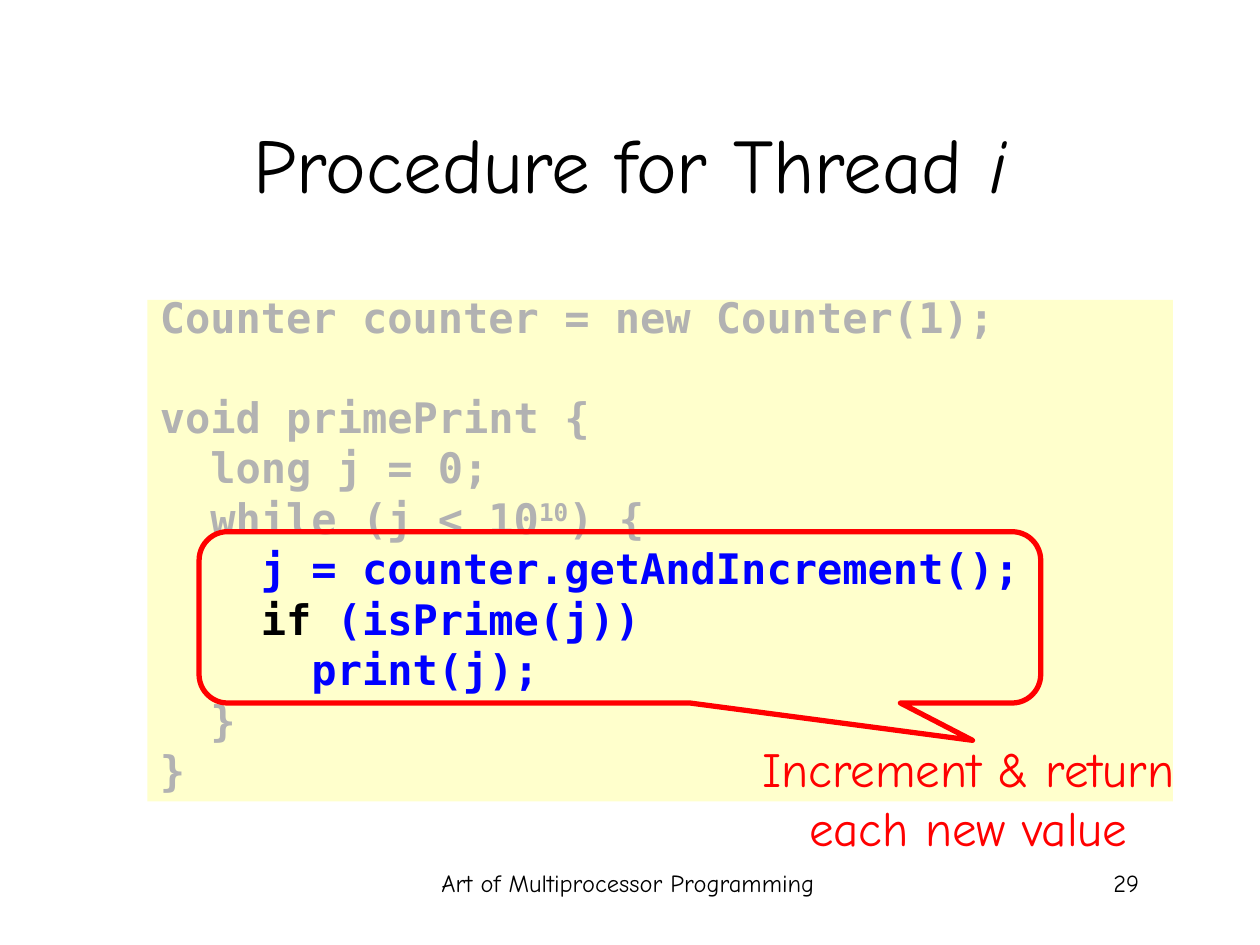
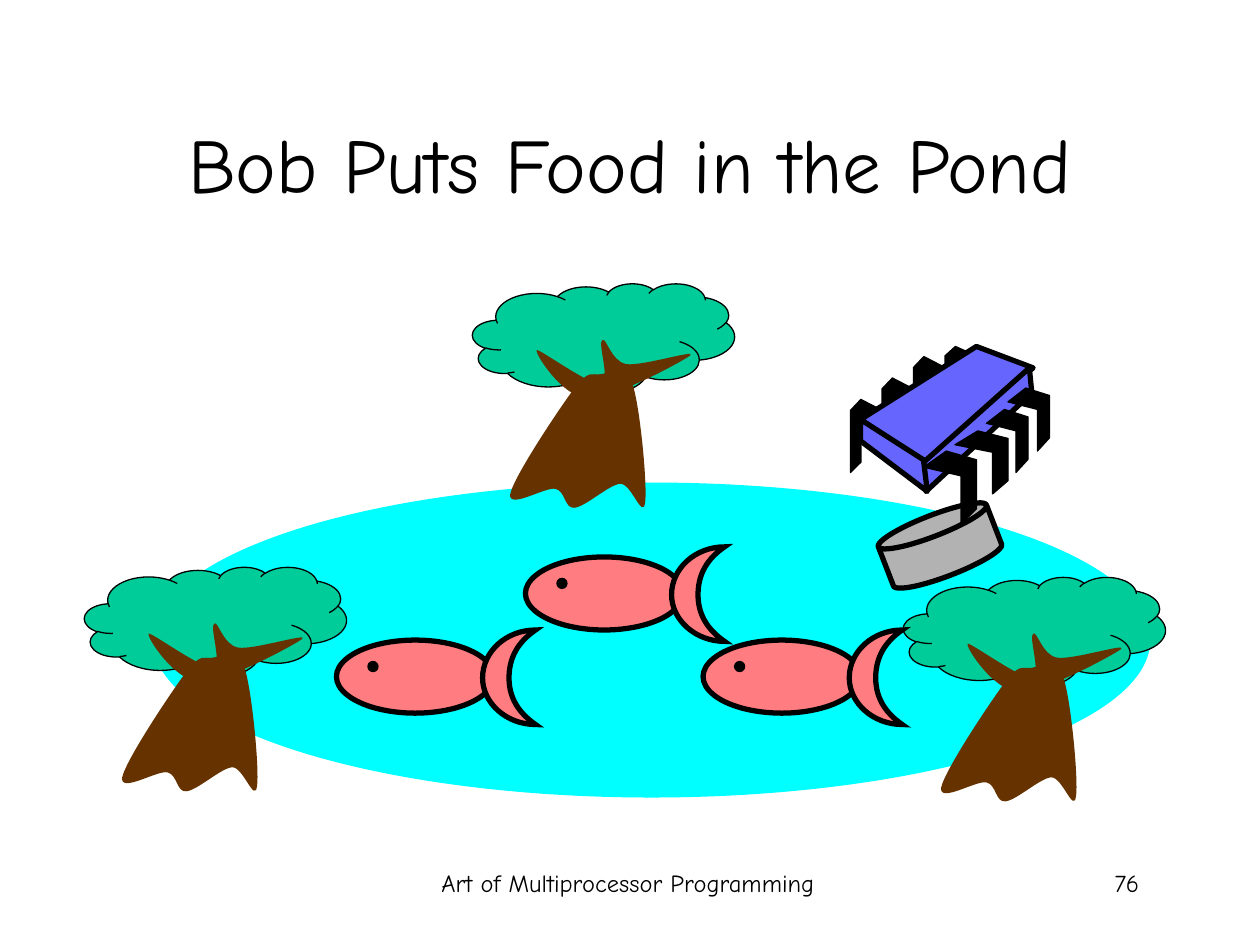
from lxml.etree import SubElement
from pptx import Presentation
from pptx.dml.color import RGBColor
from pptx.enum.shapes import MSO_SHAPE
from pptx.enum.text import MSO_ANCHOR, MSO_AUTO_SIZE, PP_ALIGN
from pptx.oxml.ns import qn
from pptx.util import Inches, Pt

COLORS = {
    "black": "000000", "gray": "B2B2B2", "blue": "0000FF", "red": "FF0000",
    "paper": "FFFFCC", "water": "00FFFF", "leaves": "00CC99", "wood": "663300",
    "fish": "FF7C80", "chip": "6666FF",
}
TEXT_FONT = "Comic Neue"
CODE_FONT = "DejaVu Sans Mono"
CODE_SIZE, CODE_SPACING, CODE_GAP = 24, 0.7, 8.7
BLANK_LINE = CODE_GAP + CODE_SPACING * 28
THICK, THIN = 3, 0.75

CODE = [
    [("Counter counter = new Counter(1);", "gray")],
    [("void primePrint {", "gray")],
    [("  long j = 0;", "gray")],
    [("  while (j < 10", "gray"), ("10", "gray", "super"), (") {", "gray")],
    [("    j = counter.getAndIncrement();", "blue")],
    [("    ", "gray"), ("if", "black"), (" (isPrime(j))", "blue")],
    [("      print(j);", "blue")],
    [("  }", "gray")],
    [("}", "gray")],
]
LINE_AFTER_BLANK = 1

TRUNK = [
    (0.81, 0.83), (0.93, 0.68), (0.94, 0.73), (1.02, 0.72), (1.09, 0.71), (1.21, 0.63),
    (1.27, 0.8), (1.33, 0.97), (1.39, 1.61), (1.37, 1.74), (1.35, 1.88), (1.26, 1.58),
    (1.17, 1.59), (1.08, 1.6), (0.9, 1.77), (0.81, 1.78), (0.73, 1.79), (0.74, 1.65),
    (0.66, 1.63), (0.58, 1.61), (0.28, 1.8), (0.3, 1.67), (0.33, 1.53), (0.69, 0.99),
    (0.81, 0.83),
]
BRANCHES = [
    (0.51, 0.53), (0.49, 0.55), (0.71, 0.9), (0.91, 0.91), (1.12, 0.92), (1.68, 0.61),
    (1.73, 0.57), (1.78, 0.52), (1.34, 0.66), (1.22, 0.64), (1.1, 0.62), (1.06, 0.42),
    (1.03, 0.45), (0.99, 0.47), (1.1, 0.78), (1.02, 0.8), (0.93, 0.81), (0.52, 0.51),
    (0.51, 0.53),
]
TAIL = [
    (1.58, -0.08), (1.48, -0.01), (1.37, 0.1), (1.37, 0.3), (1.37, 0.49), (1.48, 0.6),
    (1.58, 0.67), (1.35, 0.67), (1.16, 0.5), (1.16, 0.3), (1.16, 0.09), (1.35, -0.08),
    (1.58, -0.08),
]
BACK_PIN = [(1, 0.15), (0.33, 0), (0, 0.15), (0, 1), (0.33, 0.86), (0.33, 0.29), (1, 0.43)]
FRONT_PIN = [(0.43, 0), (0, 0.22), (0.71, 0.34), (0.71, 1), (1, 0.79), (1, 0.12)]
BACK_PINS = [(6.75, 3.17, 0.25, 0.58), (7, 3, 0.25, 0.58),
             (7.25, 2.83, 0.25, 0.58), (7.5, 2.75, 0.25, 0.5)]
FRONT_PINS = [(7.33, 3.58, 0.42, 0.58), (7.58, 3.42, 0.42, 0.5),
              (7.83, 3.25, 0.33, 0.5), (8, 3.08, 0.33, 0.5)]
CHIP_FACES = [
    [(7.75, 2.75), (6.83, 3.33), (7.35, 3.68), (8.2, 2.92)],
    [(8.17, 2.92), (7.33, 3.67), (7.35, 3.9), (8.19, 3.12)],
    [(6.83, 3.33), (6.83, 3.5), (7.36, 3.9), (7.33, 3.65)],
]


def color(name):
    """Return the named palette colour."""
    return RGBColor.from_string(COLORS[name])


def bend(shape):
    """Turn each three straight segments of a freeform into one cubic curve."""
    segments = list(shape._element.iter(qn("a:lnTo")))
    for first in range(0, len(segments), 3):
        cubic = segments[first].makeelement(qn("a:cubicBezTo"))
        segments[first].addprevious(cubic)
        for segment in segments[first:first + 3]:
            cubic.append(segment[0])
            segment.getparent().remove(segment)


class Lecture:
    """Holds the deck, the current page and the shared style."""

    def __init__(self):
        """Start a deck."""
        self.deck = Presentation()
        self.deck.slide_width, self.deck.slide_height = Inches(10), Inches(7.5)

    def new_page(self, title, number):
        """Add a page with footer, page number and title."""
        self.page = self.deck.slides.add_slide(self.deck.slide_layouts[5])
        self.text((3.4, 6.84, 3.17, 0.5), "Art of Multiprocessor Programming", 14)
        self.text((7.06, 6.84, 2.08, 0.5), number, 14, align=PP_ALIGN.RIGHT)
        box = self.page.shapes.title
        box.left, box.top, box.width, box.height = map(Inches, (0.75, 0.67, 8.5, 1.25))
        frame = box.text_frame
        frame.auto_size = MSO_AUTO_SIZE.NONE
        frame.vertical_anchor = MSO_ANCHOR.MIDDLE
        frame.paragraphs[0].alignment = PP_ALIGN.CENTER
        self.spans(frame.paragraphs[0], title, TEXT_FONT, 44)

    def spans(self, para, parts, font, size, bold=False):
        """Write (text, colour, style) parts into a paragraph."""
        for text, ink, *style in parts:
            span = para.add_run()
            span.text = text
            span.font.name, span.font.size, span.font.bold = font, Pt(size), bold
            span.font.color.rgb = color(ink)
            if "italic" in style:
                span.font.italic = True
            if "super" in style:
                span._r.get_or_add_rPr().set("baseline", "30000")

    def text(self, place, words, size, ink="black", align=PP_ALIGN.CENTER):
        """Add a wrapping text box."""
        box = self.page.shapes.add_textbox(*map(Inches, place))
        box.text_frame.word_wrap = True
        para = box.text_frame.paragraphs[0]
        para.alignment = align
        self.spans(para, [(words, ink)], TEXT_FONT, size)

    def paint(self, shape, fill, line, width):
        """Set the fill and outline of a shape."""
        shape.shadow.inherit = False
        if fill:
            shape.fill.solid()
            shape.fill.fore_color.rgb = color(fill)
        else:
            shape.fill.background()
        if line:
            shape.line.color.rgb = color(line)
            shape.line.width = Pt(width)
        else:
            shape.line.fill.background()
        return shape

    def shape(self, kind, place, fill=None, line=None, width=THICK, adjust=(), group=None):
        """Add a preset shape to the page or to a group."""
        shape = (group or self.page).shapes.add_shape(kind, *map(Inches, place))
        for index, value in enumerate(adjust):
            shape.adjustments[index] = value
        return self.paint(shape, fill, line, width)

    def outline(self, group, points, fill, line=None, width=THICK, origin=(0, 0), scale=(1, 1)):
        """Add a closed outline, scaled and moved to its origin."""
        spots = [tuple(Inches(start + value * factor)
                       for start, value, factor in zip(origin, point, scale))
                 for point in points]
        builder = group.shapes.build_freeform(*spots[0], scale=1.0)
        builder.add_line_segments(spots[1:], close=True)
        return self.paint(builder.convert_to_shape(), fill, line, width)

    def code(self, place, lines):
        """Add a code panel."""
        box = self.shape(MSO_SHAPE.RECTANGLE, place, "paper")
        frame = box.text_frame
        frame.word_wrap = True
        frame.vertical_anchor = MSO_ANCHOR.TOP
        frame.margin_top = Inches(0.04)
        for index, parts in enumerate(lines):
            para = frame.add_paragraph() if index else frame.paragraphs[0]
            para.alignment = PP_ALIGN.LEFT
            para.line_spacing = CODE_SPACING
            if index:
                extra = BLANK_LINE if index == LINE_AFTER_BLANK else 0
                para.space_before = Pt(CODE_GAP + extra)
            self.spans(para, parts, CODE_FONT, CODE_SIZE, bold=True)

    def tree(self, left, top):
        """Draw a tree."""
        group = self.page.shapes.add_group_shape()
        self.shape(MSO_SHAPE.CLOUD_CALLOUT, (left, top, 2.08, 0.87), "leaves", "black", THIN,
                   (0.018, 0.493), group)
        for part in (TRUNK, BRANCHES):
            bend(self.outline(group, part, "wood", origin=(left, top)))

    def fish(self, left, top):
        """Draw a fish."""
        group = self.page.shapes.add_group_shape()
        self.shape(MSO_SHAPE.OVAL, (left, top, 1.25, 0.58), "fish", "black", group=group)
        tail = self.outline(group, TAIL, "fish", "black", origin=(left, top))
        bend(tail)
        SubElement(tail.line._get_or_add_ln(), qn("a:miter"), lim="800000")
        self.shape(MSO_SHAPE.OVAL, (left + 0.25, top + 0.17, 0.08, 0.08), "black", "black",
                   THIN, group=group)

    def pins(self, group, points, places):
        """Draw a row of chip pins."""
        for left, top, width, height in places:
            self.outline(group, points, "black", "black", THIN, (left, top), (width, height))

    def chip(self):
        """Draw the chip between its two rows of pins."""
        group = self.page.shapes.add_group_shape()
        self.pins(group, BACK_PIN, BACK_PINS)
        for face in CHIP_FACES:
            self.outline(group, face, "chip", "black")
        self.pins(group, FRONT_PIN, FRONT_PINS)


def main():
    """Build both pages and save the deck."""
    lecture = Lecture()

    lecture.new_page([("Procedure for Thread ", "black"), ("i", "black", "italic")], "29")
    lecture.code((1.17, 2.38, 8.14, 3.98), CODE)
    lecture.shape(MSO_SHAPE.ROUNDED_RECTANGULAR_CALLOUT, (1.58, 4.22, 6.68, 1.36),
                  line="red", adjust=(0.419, 0.718, 0.167))
    lecture.text((5.77, 5.81, 3.83, 1.04), "Increment & return each new value", 28, "red")

    lecture.new_page([("Bob Puts Food in the Pond", "black")], "76")
    lecture.shape(MSO_SHAPE.OVAL, (1.21, 3.83, 7.92, 2.5), "water")
    for spot in ((7.17, 4.58), (0.67, 4.5), (3.75, 2.25)):
        lecture.tree(*spot)
    for spot in ((2.67, 5.08), (4.17, 4.42), (5.58, 5.08)):
        lecture.fish(*spot)
    can = lecture.shape(MSO_SHAPE.FLOWCHART_MAGNETIC_DISK, (7, 4.08, 0.92, 0.5), "gray", "black")
    can.rotation = 338.9
    lecture.chip()

    lecture.deck.save("out.pptx")


if __name__ == "__main__":
    main()
